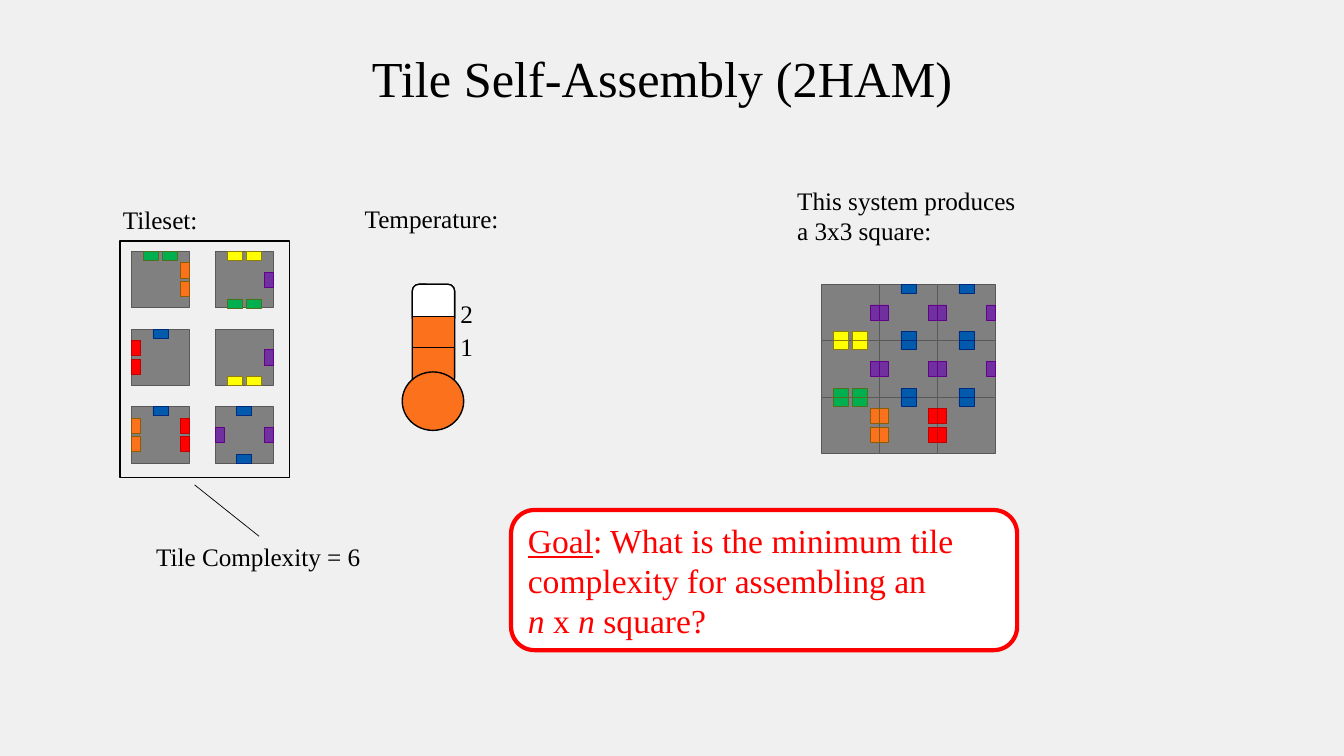
from dataclasses import dataclass
from enum import Enum

from lxml.etree import SubElement
from pptx import Presentation
from pptx.dml.color import RGBColor
from pptx.enum.shapes import MSO_CONNECTOR as Connector, MSO_SHAPE as Preset
from pptx.enum.text import MSO_ANCHOR as Anchor, MSO_AUTO_SIZE as AutoSize, PP_ALIGN as Align
from pptx.oxml.ns import qn
from pptx.shapes.autoshape import Shape
from pptx.slide import Slide
from pptx.util import Inches, Pt

FONT = "Times New Roman"
CELL = Inches(0.1)
SLIDE_COLUMNS, SLIDE_ROWS = 133.33, 75

BLACK = RGBColor(0x00, 0x00, 0x00)
WHITE = RGBColor(0xFF, 0xFF, 0xFF)
BACKGROUND = RGBColor(0xF0, 0xF0, 0xF0)
TILE_GRAY = RGBColor(0x80, 0x80, 0x80)
TILE_EDGE = RGBColor(0x59, 0x59, 0x59)
RED = RGBColor(0xFF, 0x00, 0x00)
ORANGE = RGBColor(0xFC, 0x71, 0x1C)


@dataclass(frozen=True)
class Box:
    column: float
    row: float
    columns: float
    rows: float

    def lengths(self) -> list[int]:
        return [cells(n) for n in (self.column, self.row, self.columns, self.rows)]


@dataclass(frozen=True)
class Part:
    preset: Preset
    box: Box
    fill: RGBColor | None
    line: RGBColor = BLACK
    weight: float = 1


@dataclass(frozen=True)
class Label:
    box: Box
    lines: tuple[str, ...]


class Side(Enum):
    TOP = "top"
    RIGHT = "right"
    BOTTOM = "bottom"
    LEFT = "left"


@dataclass(frozen=True)
class Glue:
    fill: RGBColor
    line: RGBColor
    strength: int


BLUE_GLUE = Glue(RGBColor(0x01, 0x5A, 0xAB), RGBColor(0x00, 0x2A, 0x7E), 1)
PURPLE_GLUE = Glue(RGBColor(0x70, 0x30, 0xA0), RGBColor(0x64, 0x01, 0x8B), 1)
GREEN_GLUE = Glue(RGBColor(0x00, 0xB0, 0x50), RGBColor(0x53, 0x6F, 0x1D), 2)
YELLOW_GLUE = Glue(RGBColor(0xFF, 0xFF, 0x00), RGBColor(0x8F, 0x7F, 0x08), 2)
ORANGE_GLUE = Glue(ORANGE, RGBColor(0x8A, 0x5D, 0x02), 2)
RED_GLUE = Glue(RED, RGBColor(0xC0, 0x00, 0x00), 2)

TileType = dict[Side, Glue]
CORNER: TileType = {Side.TOP: GREEN_GLUE, Side.RIGHT: ORANGE_GLUE}
LEFT_MIDDLE: TileType = {Side.TOP: YELLOW_GLUE, Side.RIGHT: PURPLE_GLUE, Side.BOTTOM: GREEN_GLUE}
LEFT_TOP: TileType = {Side.RIGHT: PURPLE_GLUE, Side.BOTTOM: YELLOW_GLUE}
BASE_MIDDLE: TileType = {Side.LEFT: ORANGE_GLUE, Side.TOP: BLUE_GLUE, Side.RIGHT: RED_GLUE}
BASE_RIGHT: TileType = {Side.LEFT: RED_GLUE, Side.TOP: BLUE_GLUE}
INNER: TileType = {Side.TOP: BLUE_GLUE, Side.RIGHT: PURPLE_GLUE,
                   Side.BOTTOM: BLUE_GLUE, Side.LEFT: PURPLE_GLUE}

TILE_COLUMNS, TILE_ROWS = 5.75, 5.6
GLUE_DEPTH, GLUE_LENGTH, GLUE_PITCH = 0.9, 1.5, 1.85


@dataclass(frozen=True)
class TileGrid:
    column: float
    row: float
    column_pitch: float
    row_pitch: float
    tiles: tuple[tuple[TileType, ...], ...]


TILESET = TileGrid(13.05, 24.95, 8.3, 7.7, (
    (CORNER, LEFT_MIDDLE),
    (BASE_RIGHT, LEFT_TOP),
    (BASE_MIDDLE, INNER),
))
SQUARE = TileGrid(81.5, 28.2, TILE_COLUMNS, TILE_ROWS, (
    (LEFT_TOP, INNER, INNER),
    (LEFT_MIDDLE, INNER, INNER),
    (CORNER, BASE_MIDDLE, BASE_RIGHT),
))

THERMOMETER = (
    Part(Preset.ROUNDED_RECTANGLE, Box(40.9, 28.2, 4.2, 10), ORANGE),
    Part(Preset.OVAL, Box(39.9, 36.9, 6.1, 5.8), ORANGE),
    Part(Preset.ROUNDED_RECTANGLE, Box(40.9, 28.2, 4.2, 4), WHITE),
    Part(Preset.RECTANGLE, Box(40.9, 31.4, 4.2, 3.1), ORANGE),
)
TILESET_FRAME = Part(Preset.RECTANGLE, Box(11.9, 23.9, 16.8, 23.5), None)
GOAL = Part(Preset.ROUNDED_RECTANGLE, Box(50.7, 50.6, 50.2, 13.9), WHITE, RED, 3)
LABELS = (
    Label(Box(35.2, 19.7, 15.4, 4), ("Temperature:",)),
    Label(Box(44.7, 29.1, 3.3, 4), ("2",)),
    Label(Box(44.7, 32.4, 3.3, 4), ("1",)),
    Label(Box(11.2, 19.8, 9.5, 4), ("Tileset:",)),
    Label(Box(78.1, 17.9, 23.9, 7.1), ("This system produces", "a 3x3 square:")),
    Label(Box(14.5, 53.2, 22.5, 4), ("Tile Complexity = 6",)),
)


def cells(count: float) -> int:
    return round(count * CELL)


def set_font(paragraph, size: float, color: RGBColor) -> None:
    paragraph.font.name = FONT
    paragraph.font.size = Pt(size)
    paragraph.font.color.rgb = color


def draw_part(slide: Slide, part: Part) -> Shape:
    shape = slide.shapes.add_shape(part.preset, *part.box.lengths())
    shape.shadow.inherit = False
    if part.fill is None:
        shape.fill.background()
    else:
        shape.fill.solid()
        shape.fill.fore_color.rgb = part.fill
    shape.line.color.rgb = part.line
    shape.line.width = Pt(part.weight)
    return shape


def draw_label(slide: Slide, label: Label) -> None:
    frame = slide.shapes.add_textbox(*label.box.lengths()).text_frame
    frame.word_wrap = False
    frame.text = "\n".join(label.lines)
    for paragraph in frame.paragraphs:
        set_font(paragraph, 18, BLACK)


def glue_box(tile: Box, side: Side, shift: float) -> Box:
    if side in (Side.TOP, Side.BOTTOM):
        column = tile.column + (tile.columns - GLUE_LENGTH) / 2 + shift
        row = tile.row + (tile.rows - GLUE_DEPTH if side is Side.BOTTOM else 0)
        return Box(column, row, GLUE_LENGTH, GLUE_DEPTH)
    column = tile.column + (tile.columns - GLUE_DEPTH if side is Side.RIGHT else 0)
    row = tile.row + (tile.rows - GLUE_LENGTH) / 2 + shift
    return Box(column, row, GLUE_DEPTH, GLUE_LENGTH)


def draw_tiles(slide: Slide, grid: TileGrid) -> None:
    for row, tiles in enumerate(grid.tiles):
        for column, tile_type in enumerate(tiles):
            tile = Box(grid.column + column * grid.column_pitch,
                       grid.row + row * grid.row_pitch, TILE_COLUMNS, TILE_ROWS)
            draw_part(slide, Part(Preset.RECTANGLE, tile, TILE_GRAY, TILE_EDGE, 0.5))
            for side, glue in tile_type.items():
                for index in range(glue.strength):
                    shift = (index - (glue.strength - 1) / 2) * GLUE_PITCH
                    box = glue_box(tile, side, shift)
                    draw_part(slide, Part(Preset.RECTANGLE, box, glue.fill, glue.line, 0.5))


def draw_title(slide: Slide) -> None:
    title = slide.shapes.title
    title.left, title.top, title.width, title.height = Box(35.6, 4.1, 60.2, 7.1).lengths()
    frame = title.text_frame
    frame.text = "Tile Self-Assembly (2HAM)"
    frame.auto_size = AutoSize.NONE
    frame.vertical_anchor = Anchor.MIDDLE
    frame.paragraphs[0].alignment = Align.CENTER
    set_font(frame.paragraphs[0], 36, BLACK)


def draw_goal(slide: Slide) -> None:
    frame = draw_part(slide, GOAL).text_frame
    frame.word_wrap = True
    frame.vertical_anchor = Anchor.MIDDLE
    question, size = frame.paragraphs[0], frame.add_paragraph()
    goal = question.add_run()
    goal.text = "Goal"
    goal.font.underline = True
    question.add_run().text = ": What is the minimum tile complexity for assembling an"
    for text, italic in (("n ", True), ("x ", False), ("n", True), (" square?", False)):
        run = size.add_run()
        run.text = text
        run.font.italic = italic
    for paragraph in (question, size):
        paragraph.alignment = Align.LEFT
        set_font(paragraph, 24, RED)


def draw_pointer(slide: Slide) -> None:
    ends = [cells(n) for n in (19.3, 48.1, 25.7, 53.2)]
    pointer = slide.shapes.add_connector(Connector.STRAIGHT, *ends)
    pointer.line.color.rgb = BLACK
    pointer.line.width = Pt(0.5)
    SubElement(pointer._element.spPr, qn("a:effectLst"))


def main() -> None:
    presentation = Presentation()
    presentation.slide_width = cells(SLIDE_COLUMNS)
    presentation.slide_height = cells(SLIDE_ROWS)
    slide = presentation.slides.add_slide(presentation.slide_layouts.get_by_name("Title Only"))
    slide.background.fill.solid()
    slide.background.fill.fore_color.rgb = BACKGROUND
    draw_title(slide)
    for part in (*THERMOMETER, TILESET_FRAME):
        draw_part(slide, part)
    for label in LABELS:
        draw_label(slide, label)
    draw_pointer(slide)
    draw_goal(slide)
    for grid in (TILESET, SQUARE):
        draw_tiles(slide, grid)
    presentation.save("out.pptx")


if __name__ == "__main__":
    main()
